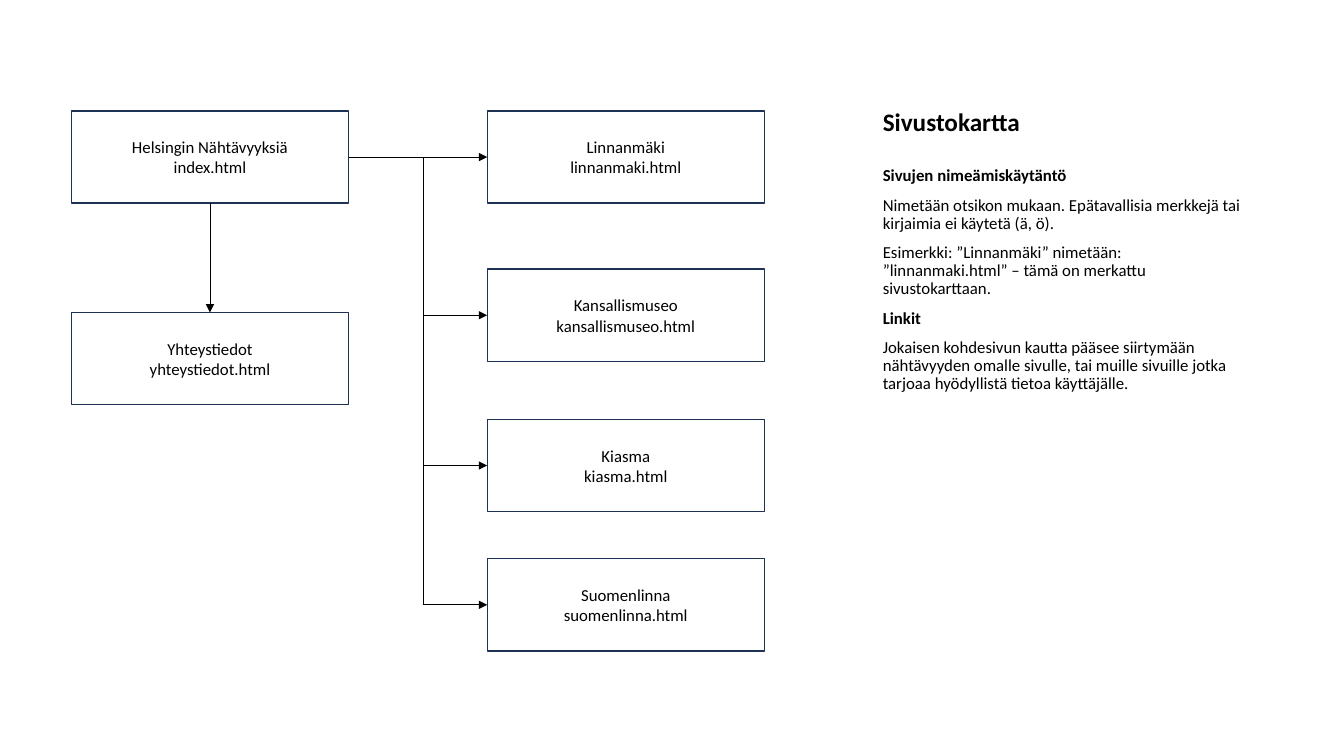
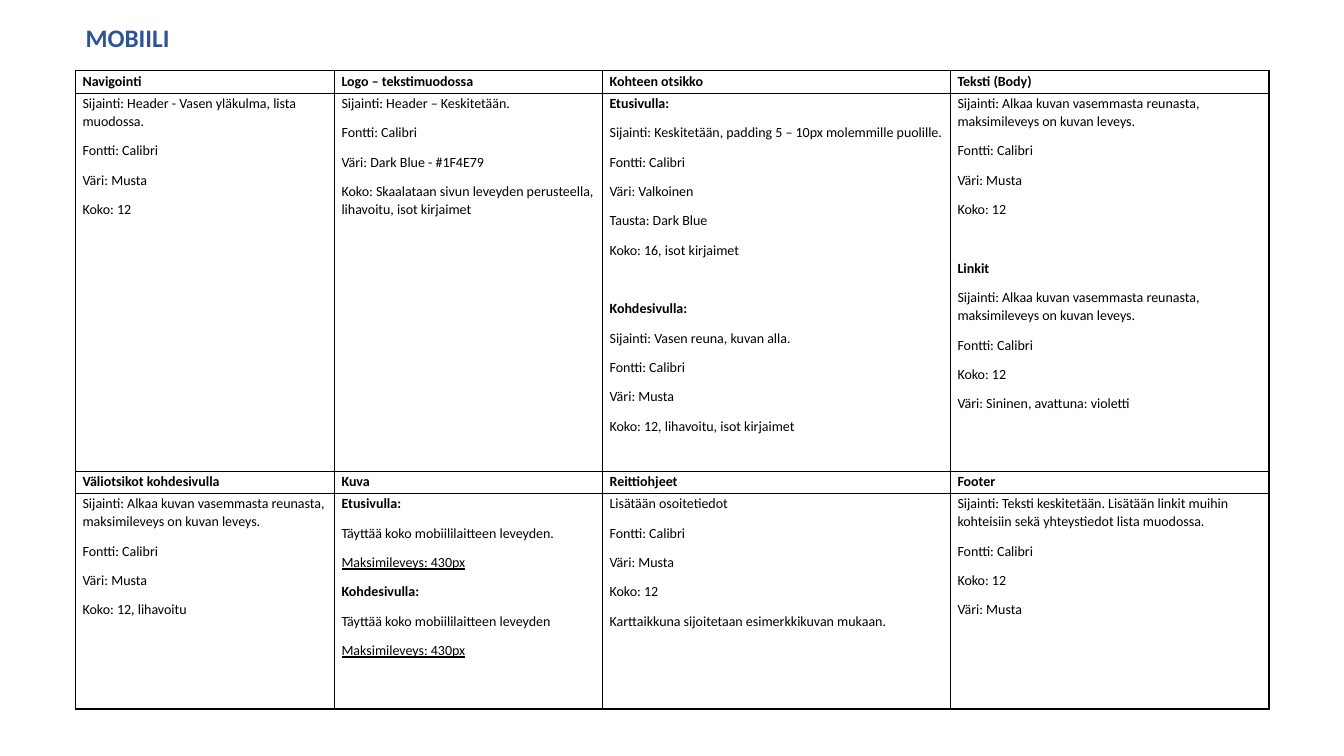
from lxml import etree
from pptx import Presentation
from pptx.dml.color import RGBColor
from pptx.enum.shapes import MSO_CONNECTOR as Connector, MSO_SHAPE as Shape
from pptx.enum.text import MSO_ANCHOR as Anchor, PP_ALIGN as Align
from pptx.oxml.ns import qn
from pptx.util import Pt

# Shared style
FONT = "Calibri"
COLORS = {"text": "000000", "box": "1E3256", "heading": "2F5496"}
BOLD, UNDERLINE, SECTION = "bold", "underline", "section"

# Site map content: name -> (file, left, top)
BOX_WIDTH, BOX_HEIGHT = 198, 66
LEFT_COLUMN, RIGHT_COLUMN, TRUNK_X = 51, 348, 302.4
HOME, CONTACT = "Helsingin Nähtävyyksiä", "Yhteystiedot"
PAGES = {
    HOME: ("index.html", LEFT_COLUMN, 79.2),
    CONTACT: ("yhteystiedot.html", LEFT_COLUMN, 223.2),
    "Linnanmäki": ("linnanmaki.html", RIGHT_COLUMN, 79.2),
    "Kansallismuseo": ("kansallismuseo.html", RIGHT_COLUMN, 192.2),
    "Kiasma": ("kiasma.html", RIGHT_COLUMN, 299.5),
    "Suomenlinna": ("suomenlinna.html", RIGHT_COLUMN, 399),
}
NOTES = [
    (BOLD, "Sivujen nimeämiskäytäntö"),
    "Nimetään otsikon mukaan. Epätavallisia merkkejä tai kirjaimia ei käytetä (ä, ö).",
    "Esimerkki: ”Linnanmäki” nimetään: ”linnanmaki.html” – tämä on merkattu sivustokarttaan.",
    (BOLD, "Linkit"),
    "Jokaisen kohdesivun kautta pääsee siirtymään nähtävyyden omalle sivulle, "
    "tai muille sivuille jotka tarjoaa hyödyllistä tietoa käyttäjälle.",
]

# Mobile table content
CALIBRI, BLACK, SIZE_12 = "Fontti: Calibri", "Väri: Musta", "Koko: 12"
IMAGE_EDGE = "Sijainti: Alkaa kuvan vasemmasta reunasta, maksimileveys on kuvan leveys."
MAX_WIDTH = (UNDERLINE, "Maksimileveys: 430px")
COLUMN_WIDTHS = [185, 191.5, 248.5, 227.5]
ROW_HEIGHTS = [16, 270, 16, 154]
TABLE_ROWS = [
    [[(BOLD, title)] for title in
     ("Navigointi", "Logo – tekstimuodossa", "Kohteen otsikko", "Teksti (Body)")],
    [
        ["Sijainti: Header - Vasen yläkulma, lista muodossa.", CALIBRI, BLACK, SIZE_12],
        ["Sijainti: Header – Keskitetään.", CALIBRI, "Väri: Dark Blue - #1F4E79",
         "Koko: Skaalataan sivun leveyden perusteella, lihavoitu, isot kirjaimet"],
        [(BOLD, "Etusivulla:"),
         "Sijainti: Keskitetään, padding 5 – 10px molemmille puolille.",
         CALIBRI, "Väri: Valkoinen", "Tausta: Dark Blue", "Koko: 16, isot kirjaimet",
         (SECTION, "Kohdesivulla:"), "Sijainti: Vasen reuna, kuvan alla.",
         CALIBRI, BLACK, "Koko: 12, lihavoitu, isot kirjaimet"],
        [IMAGE_EDGE, CALIBRI, BLACK, SIZE_12,
         (SECTION, "Linkit"), IMAGE_EDGE, CALIBRI, SIZE_12,
         "Väri: Sininen, avattuna: violetti"],
    ],
    [[(BOLD, title)] for title in
     ("Väliotsikot kohdesivulla", "Kuva", "Reittiohjeet", "Footer")],
    [
        [IMAGE_EDGE, CALIBRI, BLACK, "Koko: 12, lihavoitu"],
        [(BOLD, "Etusivulla:"), "Täyttää koko mobiililaitteen leveyden.", MAX_WIDTH,
         (BOLD, "Kohdesivulla:"), "Täyttää koko mobiililaitteen leveyden", MAX_WIDTH],
        ["Lisätään osoitetiedot", CALIBRI, BLACK, SIZE_12,
         "Karttaikkuna sijoitetaan esimerkkikuvan mukaan."],
        ["Sijainti: Teksti keskitetään. Lisätään linkit muihin kohteisiin "
         "sekä yhteystiedot lista muodossa.", CALIBRI, SIZE_12, BLACK],
    ],
]


def color(name):
    return RGBColor.from_string(COLORS[name])


def write(frame, items, size, tone="text", spacing=1.0, after=0, align=Align.LEFT):
    """Fill a text frame; an item is plain text or a (style, text) pair."""
    frame.word_wrap = True
    for index, item in enumerate(items):
        style, text = (None, item) if isinstance(item, str) else item
        paragraph = frame.paragraphs[0] if index == 0 else frame.add_paragraph()
        paragraph.text = text
        paragraph.alignment = align
        paragraph.line_spacing = spacing
        paragraph.space_after = Pt(after)
        paragraph.space_before = Pt(21 if style == SECTION else 0)
        font = paragraph.font
        font.name, font.size = FONT, Pt(size)
        font.color.rgb = color(tone)
        font.bold = style in (BOLD, SECTION)
        font.underline = style == UNDERLINE


def add_text(slide, left, top, width, height, items, size, anchor=Anchor.TOP, **style):
    box = slide.shapes.add_textbox(Pt(left), Pt(top), Pt(width), Pt(height))
    box.text_frame.vertical_anchor = anchor
    write(box.text_frame, items, size, **style)


def add_page_box(slide, name, file_name, left, top):
    box = slide.shapes.add_shape(
        Shape.RECTANGLE, Pt(left), Pt(top), Pt(BOX_WIDTH), Pt(BOX_HEIGHT))
    box.shadow.inherit = False
    box.fill.background()
    box.line.color.rgb = color("box")
    box.line.width = Pt(1)
    box.text_frame.vertical_anchor = Anchor.MIDDLE
    write(box.text_frame, [name, file_name], 12, align=Align.CENTER)
    return box


def add_line(slide, start, end, arrow=True):
    line = slide.shapes.add_connector(
        Connector.STRAIGHT, *(Pt(value) for value in (*start, *end)))
    line.line.color.rgb = color("text")
    line.line.width = Pt(0.5)
    if arrow:
        outline = line.line._get_or_add_ln()
        etree.SubElement(outline, qn("a:tailEnd"), type="triangle")
    etree.SubElement(line._element.spPr, qn("a:effectLst"))
    return line


def add_borders(cell):
    properties = cell._tc.get_or_add_tcPr()
    for side in ("lnL", "lnR", "lnT", "lnB"):
        border = etree.SubElement(properties, qn(f"a:{side}"), w=str(Pt(1)))
        fill = etree.SubElement(border, qn("a:solidFill"))
        etree.SubElement(fill, qn("a:srgbClr"), val=COLORS["text"])


def build_site_map(slide):
    boxes = {name: add_page_box(slide, name, *page) for name, page in PAGES.items()}

    # Lines: home to contact, trunk, and an arrow to each sight
    top_site, left_site, bottom_site, right_site = range(4)
    down = add_line(slide, (0, 0), (0, 0))
    down.begin_connect(boxes[HOME], bottom_site)
    down.end_connect(boxes[CONTACT], top_site)

    middles = {name: top + BOX_HEIGHT / 2 for name, (_, left, top) in PAGES.items()
               if left == RIGHT_COLUMN}
    add_line(slide, (TRUNK_X, min(middles.values())),
             (TRUNK_X, max(middles.values())), arrow=False)
    for index, (name, middle) in enumerate(middles.items()):
        branch = add_line(slide, (TRUNK_X, middle), (RIGHT_COLUMN, middle))
        if index == 0:
            branch.begin_connect(boxes[HOME], right_site)
        branch.end_connect(boxes[name], left_site)

    # Notes
    add_text(slide, 623.5, 56, 271.5, 45.5, [(BOLD, "Sivustokartta")], 18,
             anchor=Anchor.BOTTOM, spacing=0.9, after=6)
    add_text(slide, 623.5, 116, 271.5, 271.5, NOTES, 12, spacing=0.9, after=8)


def build_mobile_table(slide):
    add_text(slide, 54, 11, 480, 29.5, [(BOLD, "MOBIILI")], 18,
             tone="heading", spacing=1.07)
    table = slide.shapes.add_table(
        len(ROW_HEIGHTS), len(COLUMN_WIDTHS), Pt(54), Pt(50.5),
        Pt(sum(COLUMN_WIDTHS)), Pt(sum(ROW_HEIGHTS))).table
    table.first_row = table.horz_banding = False
    for column, width in zip(table.columns, COLUMN_WIDTHS):
        column.width = Pt(width)
    for row, height, contents in zip(table.rows, ROW_HEIGHTS, TABLE_ROWS):
        row.height = Pt(height)
        for cell, items in zip(row.cells, contents):
            cell.margin_left = cell.margin_right = Pt(5)
            cell.margin_top, cell.margin_bottom = Pt(0.7), Pt(0)
            add_borders(cell)
            cell.fill.background()
            write(cell.text_frame, items, 10, spacing=1.07, after=8)


def main():
    presentation = Presentation()
    presentation.slide_width, presentation.slide_height = Pt(960), Pt(540)
    for build in (build_site_map, build_mobile_table):
        build(presentation.slides.add_slide(presentation.slide_layouts[6]))
    presentation.save("out.pptx")


if __name__ == "__main__":
    main()
